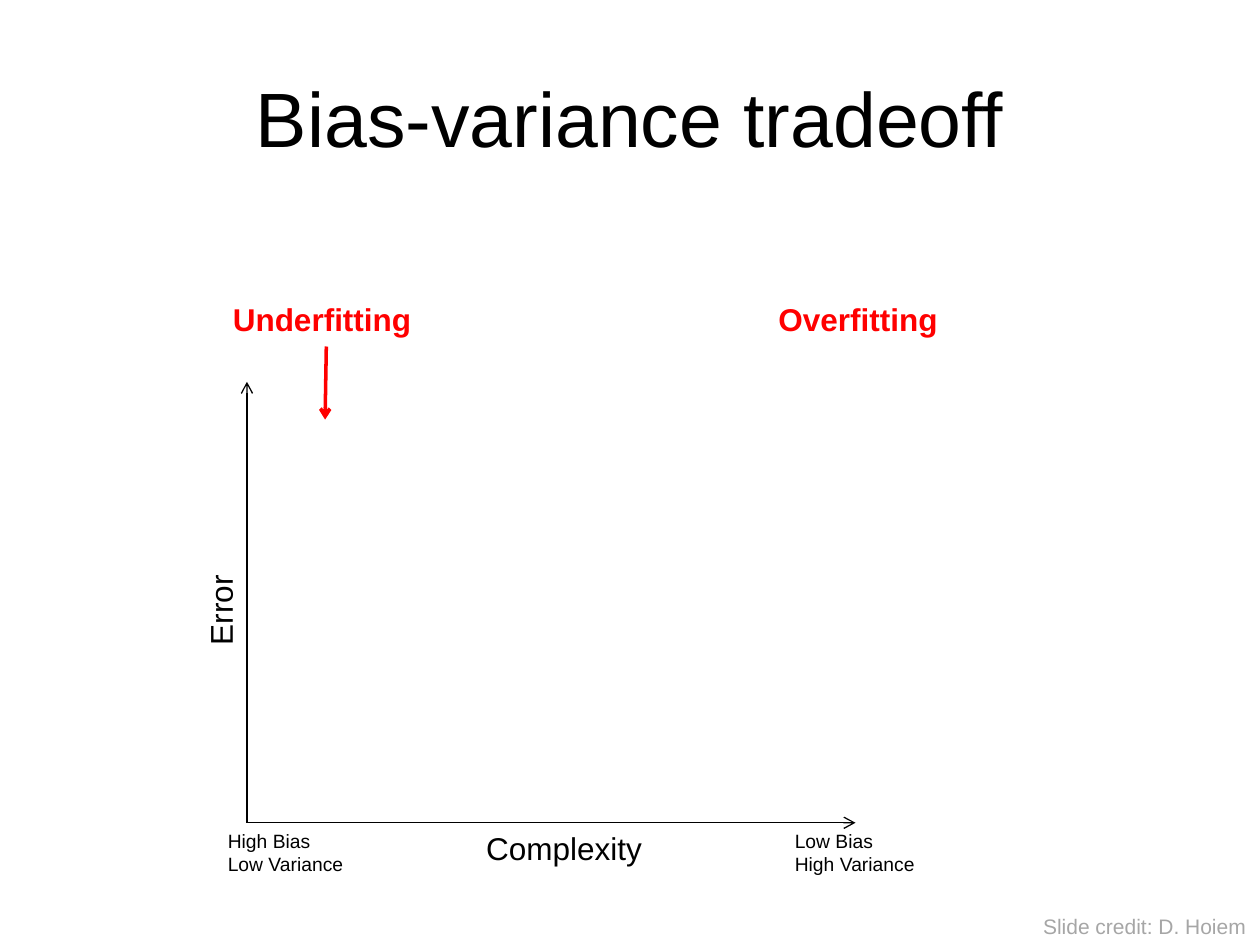
"""Build the bias-variance tradeoff slide with its empty error chart."""
from lxml import etree
from pptx import Presentation
from pptx import util as u
from pptx.dml.color import RGBColor
from pptx.enum import shapes, text
from pptx.oxml.ns import qn

HUES = {"ink": "000000", "red": "FF0000", "gray": "A6A6A6", "white": "FFFFFF"}


def style(frame, words, size, hue, bold=False):
    frame.text = words
    for para in frame.paragraphs:
        for run in para.runs:
            run.font.name = "Arial"
            run.font.size = u.Pt(size)
            run.font.bold = bold
            run.font.color.rgb = RGBColor.from_string(HUES[hue])


deck = Presentation()
deck.slide_width, deck.slide_height = u.Inches(10), u.Inches(7.5)
slide = deck.slides.add_slide(deck.slide_layouts[5])

title = slide.shapes.title
title.left, title.top = u.Inches(0.5), u.Inches(0.3)
title.width, title.height = u.Inches(9), u.Inches(1.25)
style(title.text_frame, "Bias-variance tradeoff", 44, "ink")
title.text_frame.vertical_anchor = text.MSO_ANCHOR.MIDDLE
title.text_frame.paragraphs[0].alignment = text.PP_ALIGN.CENTER

cover = slide.shapes.add_shape(
    shapes.MSO_SHAPE.RECTANGLE,
    u.Inches(1.92), u.Inches(4.42), u.Inches(6.29), u.Inches(2.17))
cover.shadow.inherit = False
cover.fill.solid()
cover.fill.fore_color.rgb = RGBColor.from_string(HUES["white"])
cover.line.fill.background()

left, base = 1.96, 6.53
arrows = [
    (2.59, 2.75, 2.58, 3.33, "red", 2),
    (left, base, left, 3.03, "ink", 0.75),
    (left, base, 6.79, base, "ink", 0.75),
]
for *ends, hue, width in arrows:
    arrow = slide.shapes.add_connector(
        shapes.MSO_CONNECTOR.STRAIGHT, *[u.Inches(end) for end in ends])
    arrow.line.color.rgb = RGBColor.from_string(HUES[hue])
    arrow.line.width = u.Pt(width)
    etree.SubElement(arrow.line._get_or_add_ln(), qn("a:tailEnd"), type="arrow")
    etree.SubElement(arrow._element.spPr, qn("a:effectLst"))

labels = [
    ("Underfitting", 1.75, 2.33, 1.63, 0.4, 18, "red", True, 0),
    ("Overfitting", 6.08, 2.33, 1.48, 0.4, 18, "red", True, 0),
    ("Complexity", 3.76, base, 1.45, 0.4, 18, "ink", False, 0),
    ("Low Bias\nHigh Variance", 6.21, base, 1.17, 0.47, 11, "ink", False, 0),
    ("High Bias\nLow Variance", 1.71, base, 1.14, 0.47, 11, "ink", False, 0),
    ("Error", 1.37, 4.64, 0.76, 0.4, 18, "ink", False, 270),
    ("Slide credit: D. Hoiem", 8.18, 7.2, 1.82, 0.3, 12, "gray", False, 0),
]
for words, *place, size, hue, bold, turn in labels:
    label = slide.shapes.add_textbox(*[u.Inches(side) for side in place])
    label.rotation = turn
    style(label.text_frame, words, size, hue, bold)
    label.text_frame.word_wrap = False
    label.text_frame.auto_size = text.MSO_AUTO_SIZE.SHAPE_TO_FIT_TEXT

deck.save("out.pptx")
